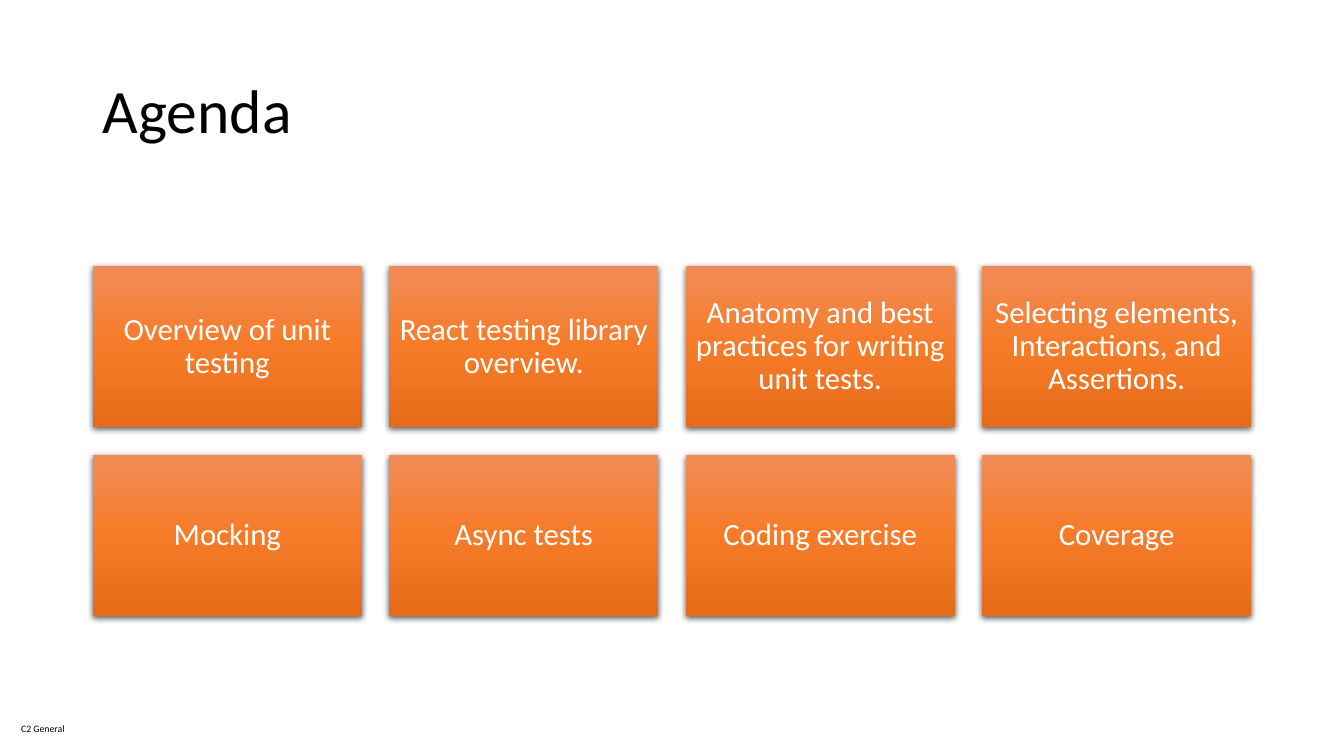
from copy import deepcopy

from lxml.etree import SubElement
from pptx import Presentation
from pptx.dml.color import RGBColor
from pptx.enum.shapes import MSO_SHAPE as Shape
from pptx.enum.text import MSO_ANCHOR as Anchor, PP_ALIGN as Align
from pptx.oxml.ns import qn
from pptx.util import Inches, Pt

COLORS = {
    "text": "000000",
    "card_text": "FFFFFF",
    "card_top": "F18C57",
    "card_middle": "F67B28",
    "card_bottom": "E56C19",
    "shadow": "000000",
}
TOPICS = [
    "Overview of unit testing",
    "React testing library overview.",
    "Anatomy and best practices for writing unit tests.",
    "Selecting elements, Interactions, and Assertions.",
    "Mocking",
    "Async tests",
    "Coding exercise",
    "Coverage",
]
COLUMNS = 4
LEFT, TOP = 0.92, 2.64
CARD_WIDTH, CARD_HEIGHT, GAP = 2.67, 1.6, 0.27


class AgendaSlide:
    font = "Calibri"

    def __init__(self, deck):
        self.page = deck.slides.add_slide(deck.slide_layouts[6])

    def fill_text(self, shape, text, size, color, margins, align=Align.LEFT, spacing=1.0):
        frame = shape.text_frame
        frame.vertical_anchor = Anchor.MIDDLE
        frame.margin_left = frame.margin_right = Inches(margins[0])
        frame.margin_top = frame.margin_bottom = Inches(margins[1])
        para = frame.paragraphs[0]
        para.alignment = align
        para.line_spacing = spacing
        span = para.add_run()
        span.text = text
        span.font.name = self.font
        span.font.size = Pt(size)
        span.font.color.rgb = RGBColor.from_string(COLORS[color])

    def text(self, left, top, width, height, text, size, margins=(0, 0), wrap=False, spacing=1.0):
        box = self.page.shapes.add_textbox(
            Inches(left), Inches(top), Inches(width), Inches(height))
        box.text_frame.word_wrap = wrap
        self.fill_text(box, text, size, "text", margins, spacing=spacing)

    def card(self, left, top, text):
        card = self.page.shapes.add_shape(
            Shape.RECTANGLE, Inches(left), Inches(top),
            Inches(CARD_WIDTH), Inches(CARD_HEIGHT))
        card.line.fill.background()
        self.shade(card)
        self.drop_shadow(card)
        card.text_frame.word_wrap = True
        self.fill_text(card, text, 22, "card_text", (0.09, 0.09), Align.CENTER, 0.9)

    def shade(self, shape):
        shape.fill.gradient()
        shape.fill.gradient_angle = 270
        stop_list = shape.element.spPr.find(".//" + qn("a:gsLst"))
        stop_list.append(deepcopy(stop_list[0]))
        names = ("card_top", "card_middle", "card_bottom")
        for index, (stop, name) in enumerate(zip(shape.fill.gradient_stops, names)):
            stop.position = index / 2
            stop.color.rgb = RGBColor.from_string(COLORS[name])

    def drop_shadow(self, shape):
        shape.shadow.inherit = False
        effects = shape.element.spPr.find(qn("a:effectLst"))
        shadow = SubElement(
            effects, qn("a:outerShdw"), blurRad=str(Pt(4.5)), dist=str(Pt(1.5)),
            dir="5400000", algn="ctr", rotWithShape="0")
        color = SubElement(shadow, qn("a:srgbClr"), val=COLORS["shadow"])
        SubElement(color, qn("a:alpha"), val="63000")


def main():
    deck = Presentation()
    deck.slide_width, deck.slide_height = Inches(13.33), Inches(7.5)
    agenda = AgendaSlide(deck)
    agenda.text(0.21, 7.17, 0.46, 0.12, "C2 General", 7)
    agenda.text(LEFT, 0.4, 11.5, 1.45, "Agenda", 44, (0.1, 0.05), True, 0.9)
    for index, topic in enumerate(TOPICS):
        row, column = divmod(index, COLUMNS)
        agenda.card(LEFT + column * (CARD_WIDTH + GAP),
                    TOP + row * (CARD_HEIGHT + GAP), topic)
    deck.save("out.pptx")


if __name__ == "__main__":
    main()
